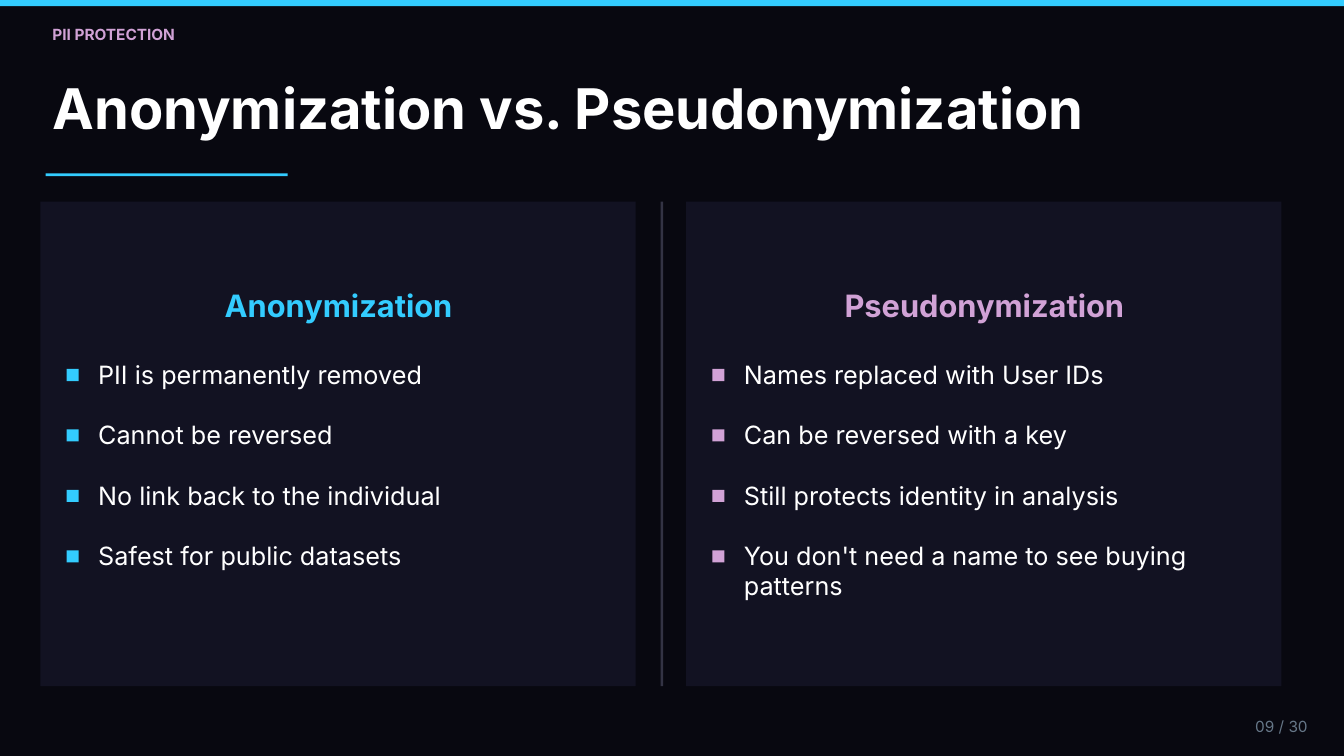
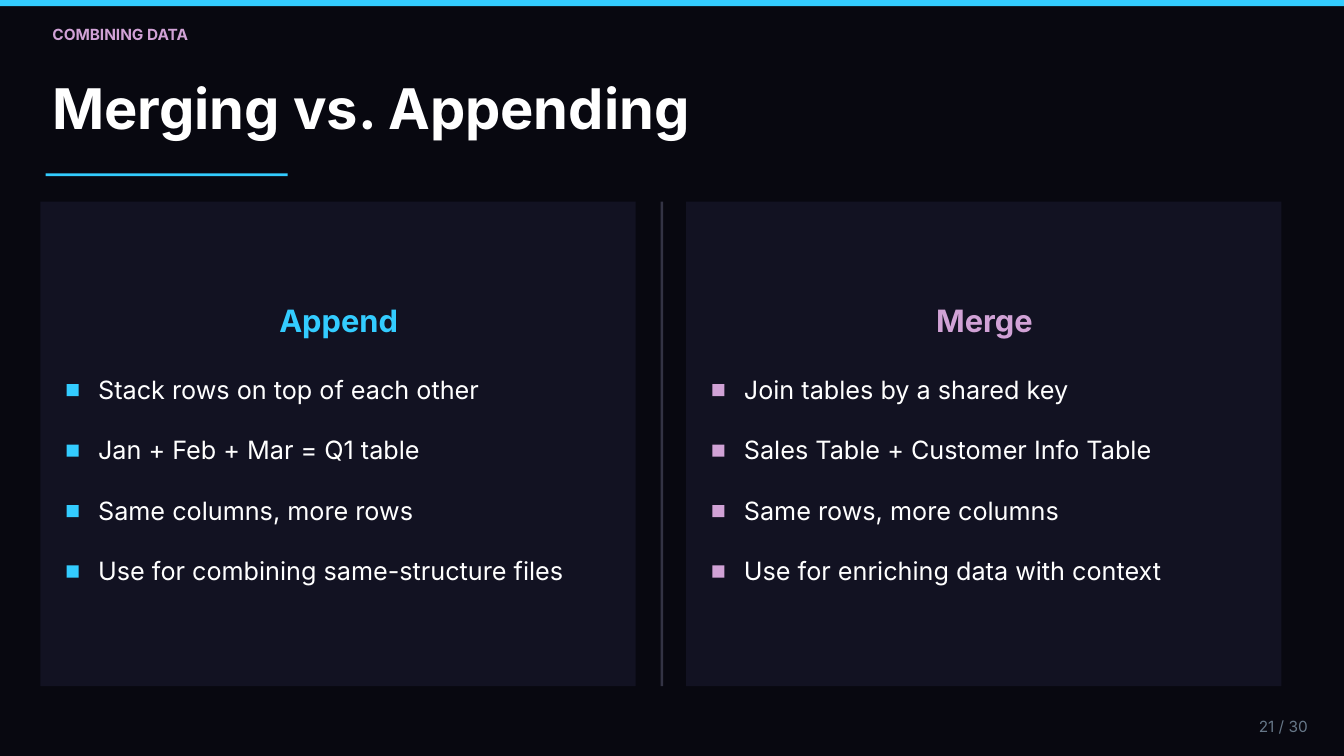
"""Build two dark comparison slides, each with two bulleted panels."""
from pptx import Presentation
from pptx.dml.color import RGBColor
from pptx.enum.shapes import MSO_SHAPE as Shape
from pptx.enum.text import MSO_ANCHOR as Anchor, MSO_AUTO_SIZE as AutoSize, PP_ALIGN as Align
from pptx.util import Inches, Pt

NIGHT = RGBColor(0x08, 0x08, 0x10)
PANEL = RGBColor(0x12, 0x12, 0x22)
DIVIDER = RGBColor(0x33, 0x33, 0x44)
CYAN = RGBColor(0x33, 0xCC, 0xFF)
LILAC = RGBColor(0xD1, 0xA2, 0xD6)
WHITE = RGBColor(0xFF, 0xFF, 0xFF)
SLATE = RGBColor(0x66, 0x77, 0x88)

FONT = "Inter"
LEADING = 1.2
TOTAL = 30
PANEL_TOP, PANEL_WIDTH, PANEL_HEIGHT = 3, 8.86, 7.21
LIST_OFFSET, ROW_STEP, LINE_HEIGHT = 1.07, 0.9, 0.45
MARKER = 0.18

SLIDES = [
    {
        "topic": "PII PROTECTION",
        "title": "Anonymization vs. Pseudonymization",
        "number": 9,
        "wrapped_lines": 1,
        "columns": [
            ("Anonymization", [
                "PII is permanently removed",
                "Cannot be reversed",
                "No link back to the individual",
                "Safest for public datasets",
            ]),
            ("Pseudonymization", [
                "Names replaced with User IDs",
                "Can be reversed with a key",
                "Still protects identity in analysis",
                "You don't need a name to see buying patterns",
            ]),
        ],
    },
    {
        "topic": "COMBINING DATA",
        "title": "Merging vs. Appending",
        "number": 21,
        "wrapped_lines": 0,
        "columns": [
            ("Append", [
                "Stack rows on top of each other",
                "Jan + Feb + Mar = Q1 table",
                "Same columns, more rows",
                "Use for combining same-structure files",
            ]),
            ("Merge", [
                "Join tables by a shared key",
                "Sales Table + Customer Info Table",
                "Same rows, more columns",
                "Use for enriching data with context",
            ]),
        ],
    },
]


def write(box, text, size=27, color=WHITE, bold=False, align=Align.LEFT):
    frame = box.text_frame
    frame.word_wrap = True
    frame.auto_size = AutoSize.NONE
    frame.vertical_anchor = Anchor.TOP
    frame.margin_left = frame.margin_right = frame.margin_top = frame.margin_bottom = 0
    para = frame.paragraphs[0]
    para.alignment = align
    para.line_spacing = Pt(size * LEADING)
    span = para.add_run()
    span.text = text
    span.font.name = FONT
    span.font.size = Pt(size)
    span.font.bold = bold
    span.font.color.rgb = color


class ComparisonDeck:
    def __init__(self):
        self.deck = Presentation()
        self.deck.slide_width, self.deck.slide_height = Inches(20), Inches(11.25)
        background = self.deck.slide_master.background.fill
        background.solid()
        background.fore_color.rgb = NIGHT
        self.page = None

    def add_page(self, topic, title, number):
        self.page = self.deck.slides.add_slide(self.deck.slide_layouts[5])
        self.block(0, 0, 20, 0.09, CYAN)
        self.text(topic, 0.78, 0.37, 11.81, 0.28, size=16.5, color=LILAC, bold=True)
        self.title(title)
        self.block(0.68, 2.58, 3.6, 0.04, CYAN)
        self.text(f"{number:02d} / {TOTAL}", 18.01, 10.67, 1.45, 0.28,
                  size=16.5, color=SLATE, align=Align.RIGHT)

    def title(self, text):
        box = self.page.shapes.title
        box.left, box.top = Inches(0.78), Inches(1.1)
        box.width, box.height = Inches(17.81), Inches(1)
        write(box, text, size=60, bold=True)

    def block(self, left, top, width, height, color):
        shape = self.page.shapes.add_shape(
            Shape.RECTANGLE, Inches(left), Inches(top), Inches(width), Inches(height))
        shape.shadow.inherit = False
        shape.fill.solid()
        shape.fill.fore_color.rgb = color
        shape.line.fill.background()

    def text(self, text, left, top, width, height, **style):
        box = self.page.shapes.add_textbox(
            Inches(left), Inches(top), Inches(width), Inches(height))
        write(box, text, **style)

    def bullet(self, text, left, top, color, lines=1):
        self.block(left, top + 0.15, MARKER, MARKER, color)
        self.text(text, left + 0.47, top, 7.61, lines * LINE_HEIGHT)

    def panel(self, left, heading, items, color, wrapped_lines):
        rows_height = (len(items) - 1) * ROW_STEP + (1 + wrapped_lines) * LINE_HEIGHT
        top = PANEL_TOP + (PANEL_HEIGHT - LIST_OFFSET - rows_height) / 2
        self.block(left, PANEL_TOP, PANEL_WIDTH, PANEL_HEIGHT, PANEL)
        self.text(heading, left + 0.41, top, 8.06, 0.55,
                  size=33, color=color, bold=True, align=Align.CENTER)
        for row, item in enumerate(items):
            is_last = row == len(items) - 1
            self.bullet(item, left + 0.39, top + LIST_OFFSET + row * ROW_STEP, color,
                        lines=1 + wrapped_lines if is_last else 1)

    def comparison(self, columns, wrapped_lines):
        for left, color, (heading, items) in zip((0.6, 10.21), (CYAN, LILAC), columns):
            self.panel(left, heading, items, color, wrapped_lines)
        self.block(9.83, PANEL_TOP, 0.04, PANEL_HEIGHT, DIVIDER)


def main():
    builder = ComparisonDeck()
    for content in SLIDES:
        builder.add_page(content["topic"], content["title"], content["number"])
        builder.comparison(content["columns"], content["wrapped_lines"])
    builder.deck.save("out.pptx")


if __name__ == "__main__":
    main()
